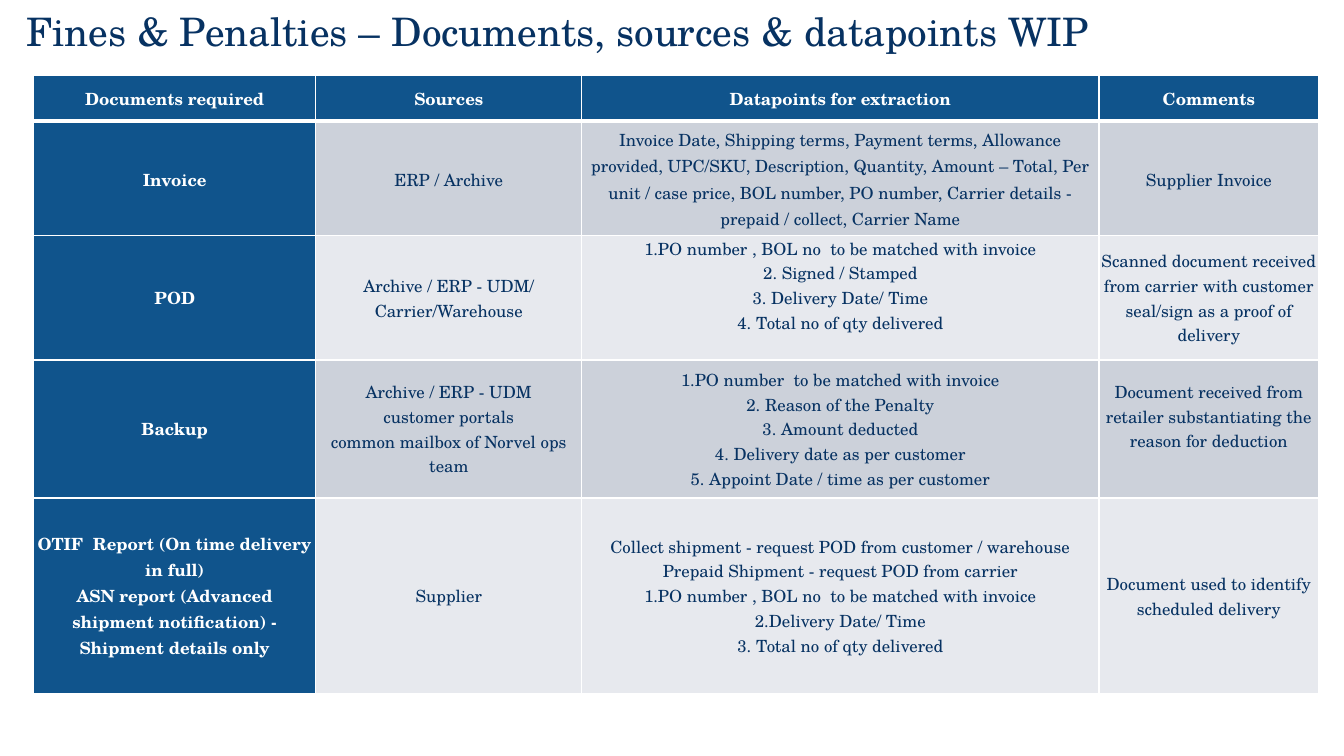
from dataclasses import dataclass

from lxml import etree
from pptx import Presentation, util as u
from pptx.dml import color
from pptx.enum import text
from pptx.oxml import ns


@dataclass(frozen=True)
class Theme:
    font: str = "TeX Gyre Schola"
    navy: str = "073262"
    blue: str = "10548C"
    white: str = "FFFFFF"
    bands: tuple[str, str] = ("CCD1DA", "E7E9EE")
    title_size: int = 28
    table_size: int = 12
    thin: int = 1
    thick: int = 3


@dataclass(frozen=True)
class DocumentRow:
    height: float
    texts: tuple[str, str, str, str]
    spacing: float = 1.0
    side_inset: float = 0.01
    raised_column: int | None = None


THEME = Theme()
WIDTH, HEIGHT = u.Inches(13.33), u.Inches(7.5)
COLUMN_SHARES = (21, 19.8, 38.48, 16.35)
RAISED_INSET = 0.25

ROWS = (
    DocumentRow(6, ("Documents required", "Sources", "Datapoints for extraction", "Comments"), 1.07, 0.05),
    DocumentRow(15.2, (
        "Invoice",
        "ERP / Archive",
        "Invoice Date, Shipping terms, Payment terms, Allowance provided, UPC/SKU, Description, "
        "Quantity, Amount – Total, Per unit / case price, BOL number, PO number, "
        "Carrier details - prepaid / collect, Carrier Name",
        "Supplier Invoice",
    ), 1.07, 0.05),
    DocumentRow(16.13, (
        "POD",
        "Archive / ERP - UDM/ Carrier/Warehouse",
        "1.PO number , BOL no  to be matched with invoice\n2. Signed / Stamped\n"
        "3. Delivery Date/ Time\n4. Total no of qty delivered",
        "Scanned document received from carrier with customer seal/sign as a proof of delivery",
    ), raised_column=2),
    DocumentRow(18.27, (
        "Backup",
        "Archive / ERP - UDM\ncustomer portals\ncommon mailbox of Norvel ops team",
        "1.PO number  to be matched with invoice\n2. Reason of the Penalty\n3. Amount deducted\n"
        "4. Delivery date as per customer\n5. Appoint Date / time as per customer",
        "Document received from retailer substantiating the reason for deduction",
    ), raised_column=3),
    DocumentRow(25.87, (
        "OTIF  Report (On time delivery in full)\n"
        "ASN report (Advanced shipment notification) - Shipment details only",
        "Supplier",
        "Collect shipment - request POD from customer / warehouse\n"
        "Prepaid Shipment - request POD from carrier\n"
        "1.PO number , BOL no  to be matched with invoice\n"
        "2.Delivery Date/ Time\n3. Total no of qty delivered",
        "Document used to identify scheduled delivery",
    )),
)


def across(share: float) -> int:
    return round(WIDTH * share / 100)


def down(share: float) -> int:
    return round(HEIGHT * share / 100)


def format_runs(paragraph, size: int, rgb: str, bold: bool = False) -> None:
    for run in paragraph.runs:
        run.font.name = THEME.font
        run.font.size = u.Pt(size)
        run.font.bold = bold
        run.font.color.rgb = color.RGBColor.from_string(rgb)


def set_borders(cell, top: int, bottom: int) -> None:
    properties = cell._tc.get_or_add_tcPr()
    widths = {"lnL": THEME.thin, "lnR": THEME.thin, "lnT": top, "lnB": bottom}
    for position, (tag, width) in enumerate(widths.items()):
        line = etree.Element(ns.qn(f"a:{tag}"), w=str(u.Pt(width)))
        fill = etree.SubElement(line, ns.qn("a:solidFill"))
        etree.SubElement(fill, ns.qn("a:srgbClr"), val=THEME.white)
        properties.insert(position, line)


def draw_title(slide, wording: str) -> None:
    title = slide.shapes.title
    title.left, title.top = across(1.2), down(0.93)
    title.width, title.height = across(86.27), down(5.6)
    frame = title.text_frame
    frame.text = wording
    frame.auto_size = text.MSO_AUTO_SIZE.NONE
    frame.vertical_anchor = text.MSO_ANCHOR.TOP
    frame.margin_top = frame.margin_bottom = 0
    paragraph = frame.paragraphs[0]
    paragraph.alignment = text.PP_ALIGN.LEFT
    format_runs(paragraph, THEME.title_size, THEME.navy)


def draw_cell(cell, row: DocumentRow, row_index: int, column_index: int) -> None:
    heading = row_index == 0 or column_index == 0
    cell.fill.solid()
    fill = THEME.blue if heading else THEME.bands[(row_index - 1) % 2]
    cell.fill.fore_color.rgb = color.RGBColor.from_string(fill)
    set_borders(
        cell,
        THEME.thick if row_index == 1 else THEME.thin,
        THEME.thick if row_index == 0 else THEME.thin,
    )
    cell.vertical_anchor = text.MSO_ANCHOR.MIDDLE
    cell.margin_left = cell.margin_right = u.Inches(row.side_inset)
    cell.margin_top = 0
    cell.margin_bottom = u.Inches(RAISED_INSET if column_index == row.raised_column else 0)
    cell.text_frame.text = row.texts[column_index]
    for paragraph in cell.text_frame.paragraphs:
        paragraph.alignment = text.PP_ALIGN.CENTER
        paragraph.line_spacing = row.spacing
        format_runs(paragraph, THEME.table_size, THEME.white if heading else THEME.navy, heading)


def draw_table(slide) -> None:
    frame = slide.shapes.add_table(
        len(ROWS), len(COLUMN_SHARES), across(2.5), down(10),
        across(sum(COLUMN_SHARES)), down(sum(row.height for row in ROWS)),
    )
    table = frame.table
    table.horz_banding = False
    for column, share in zip(table.columns, COLUMN_SHARES):
        column.width = across(share)
    for row_index, row in enumerate(ROWS):
        table.rows[row_index].height = down(row.height)
        for column_index in range(len(COLUMN_SHARES)):
            draw_cell(table.cell(row_index, column_index), row, row_index, column_index)


def main() -> None:
    presentation = Presentation()
    presentation.slide_width, presentation.slide_height = WIDTH, HEIGHT
    slide = presentation.slides.add_slide(presentation.slide_layouts[5])
    draw_title(slide, "Fines & Penalties – Documents, sources & datapoints WIP")
    draw_table(slide)
    presentation.save("out.pptx")


if __name__ == "__main__":
    main()
